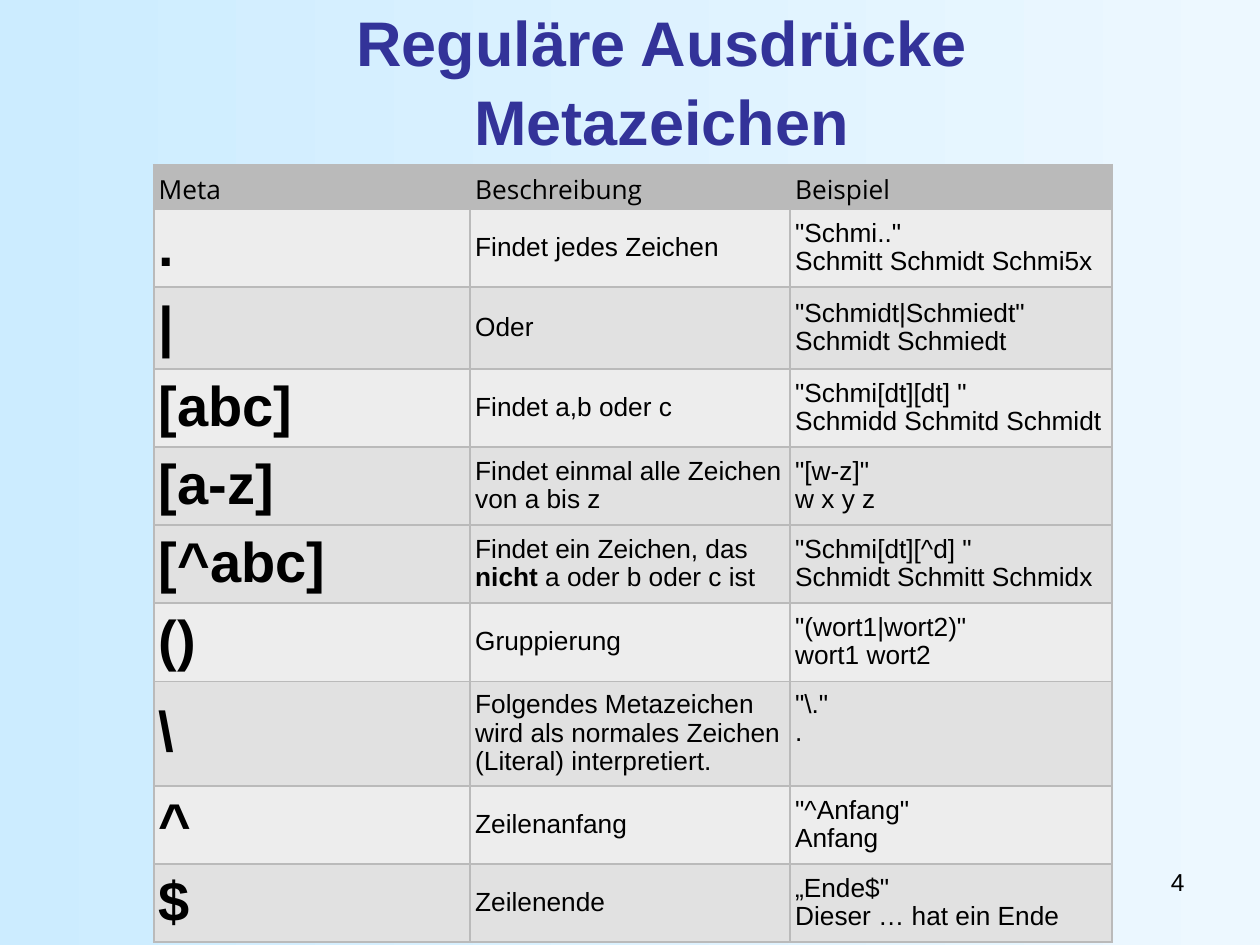
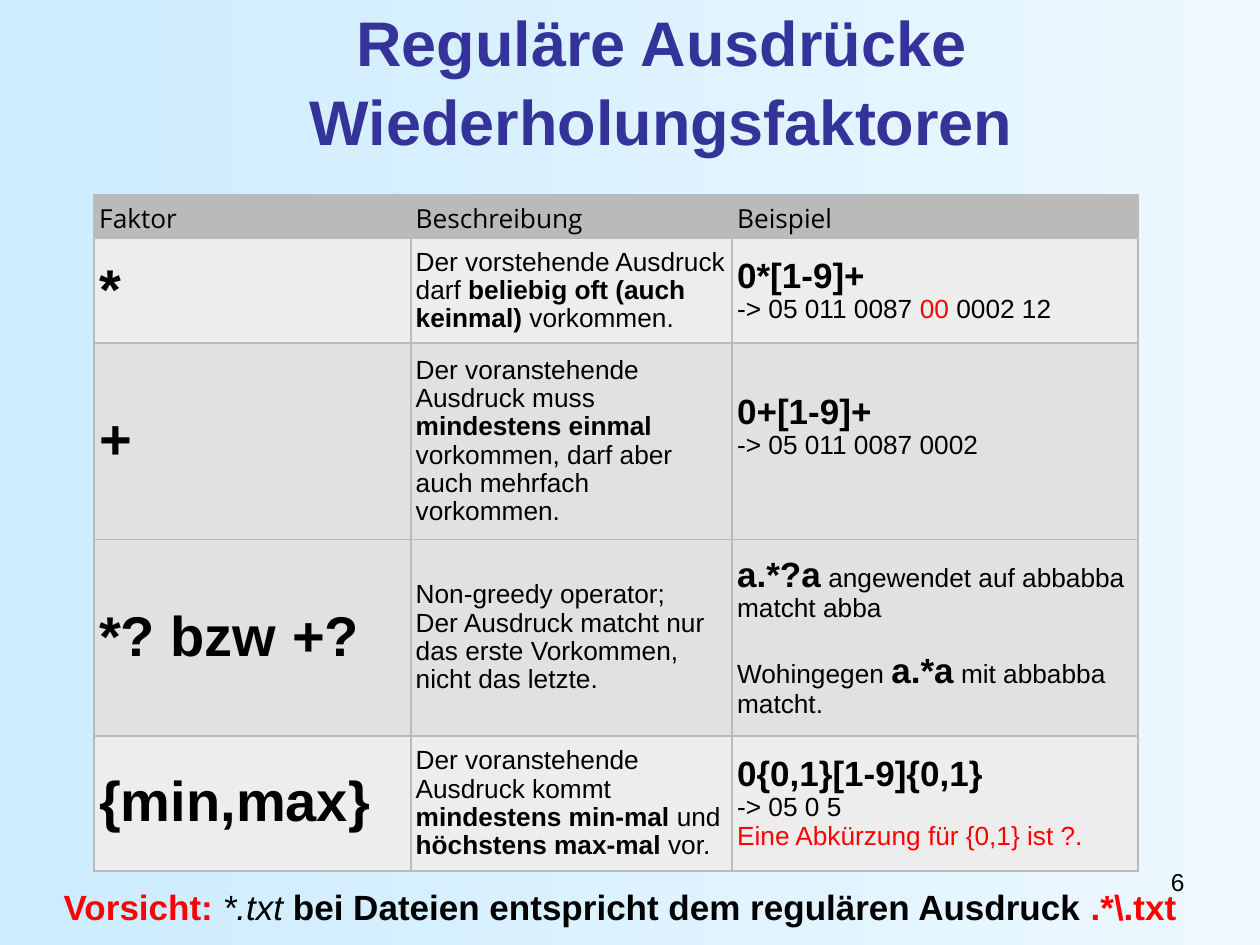
from lxml.etree import SubElement
from pptx import Presentation
from pptx.dml.color import RGBColor
from pptx.enum.text import MSO_ANCHOR as Anchor, MSO_AUTO_SIZE as AutoSize, PP_ALIGN as Align
from pptx.oxml.ns import qn
from pptx.util import Cm, Pt

# Shared colours and fonts
SKY = RGBColor(0xCC, 0xEC, 0xFF)
PALE_SKY = RGBColor(0xED, 0xF8, 0xFF)
INDIGO = RGBColor(0x33, 0x33, 0x99)
BLACK = RGBColor(0x00, 0x00, 0x00)
RED = RGBColor(0xFF, 0x00, 0x00)
HEADER_GREY = RGBColor(0xBA, 0xBA, 0xBA)
LIGHT = RGBColor(0xED, 0xED, 0xED)
DARK = RGBColor(0xE1, 0xE1, 0xE1)
TEXT_FONT = "Arial"
HEADER_FONT = "Open Sans"

# Run styles
BOLD = {"bold": True}
CODE = {"bold": True, "size": Pt(20)}
ALERT = {"color": RED}
PATTERN = {"bold": False, "italic": True, "color": BLACK}

# Table measures
CELL_MARGIN_X = Cm(0.1)
CELL_MARGIN_Y = Cm(0.13)
EMPTY_LINE = Cm(0.59)
TABLE_LINE_SPACING = 0.97

# Table rows: fill, height in cm, meta character, description, example.
# Each cell is a list of paragraphs, a paragraph is a string or a list of runs.
META_ROWS = [
    (LIGHT, 1.52, ".", ["Findet jedes Zeichen"], ['"Schmi.."', "Schmitt Schmidt Schmi5x"]),
    (DARK, 1.65, "|", ["Oder"], ['"Schmidt|Schmiedt"', "Schmidt Schmiedt"]),
    (LIGHT, 1.52, "[abc]", ["Findet a,b oder c"],
     ['"Schmi[dt][dt] "', "Schmidd Schmitd Schmidt"]),
    (DARK, 1.52, "[a-z]", ["Findet einmal alle Zeichen von a bis z"], ['"[w-z]"', "w x y z"]),
    (DARK, 1.52, "[^abc]",
     [["Findet ein Zeichen, das ", ("nicht ", BOLD), "a oder b oder c ist"]],
     ['"Schmi[dt][^d] "', "Schmidt Schmitt Schmidx"]),
    (LIGHT, 1.52, "()", ["Gruppierung"], ['"(wort1|wort2)"', "wort1 wort2"]),
    (DARK, 2.11, "\\",
     ["Folgendes Metazeichen wird als normales Zeichen (Literal) interpretiert."],
     [r'"\."', "."]),
    (LIGHT, 1.52, "^", ["Zeilenanfang"], ['"^Anfang"', "Anfang"]),
    (DARK, 1.52, "$", ["Zeilenende"], ['„Ende$"', "Dieser … hat ein Ende"]),
]
FACTOR_ROWS = [
    (LIGHT, 2.06, "*",
     [["Der vorstehende Ausdruck darf ", ("beliebig oft (auch keinmal) ", BOLD), "vorkommen."]],
     [[("0*[1-9]+", CODE), "\n", "-> 05 011 0087 ", ("00", ALERT), " 0002 12"]]),
    (DARK, 3.96, "+",
     [["Der voranstehende Ausdruck muss ", ("mindestens einmal ", BOLD),
       "vorkommen, darf aber auch mehrfach vorkommen."]],
     [[("0+[1-9]+", CODE), "\n", "-> 05 011 0087 0002"]]),
    (DARK, 3.96, "*? bzw +?",
     ["Non-greedy operator;", "Der Ausdruck matcht nur das erste Vorkommen, nicht das letzte."],
     [[("a.*?a", CODE), " angewendet auf abbabba"], "matcht abba",
      ["Wohingegen ", ("a.*a", CODE), " mit abbabba matcht."]]),
    (LIGHT, 2.69, "{min,max}",
     [["Der voranstehende Ausdruck kommt ", ("mindestens min-mal", BOLD), " und ",
       ("höchstens max-mal", BOLD), " vor."]],
     [[("0{0,1}[1-9]{0,1}", CODE), " ", "\n", "-> 05 0 5"],
      [("Eine Abkürzung für {0,1} ist ?.", ALERT)]]),
]


def style_font(font, size=None, bold=None, italic=None, color=None, name=None):
    """Set only the font properties that are given."""
    for key, value in (("size", size), ("bold", bold), ("italic", italic), ("name", name)):
        if value is not None:
            setattr(font, key, value)
    if color is not None:
        font.color.rgb = color


def write_paragraphs(text_frame, paragraphs, align=Align.LEFT, line_spacing=None, **base):
    """Fill a text frame; base is the font of every paragraph."""
    base = {"name": TEXT_FONT, "color": BLACK, "bold": False, **base}
    for index, runs in enumerate(paragraphs):
        paragraph = text_frame.add_paragraph() if index else text_frame.paragraphs[0]
        paragraph.alignment = align
        if line_spacing:
            paragraph.line_spacing = line_spacing
        style_font(paragraph.font, **base)
        for part in [runs] if isinstance(runs, str) else runs:
            if part == "\n":
                paragraph.add_line_break()
                continue
            text, style = (part, {}) if isinstance(part, str) else part
            run = paragraph.add_run()
            run.text = text
            style_font(run.font, **{**base, **style})


def paint_background(master):
    fill = master.background.fill
    fill.gradient()
    fill.gradient_angle = 0
    for stop, color, position in zip(fill.gradient_stops, (SKY, PALE_SKY), (0, 1)):
        stop.color.rgb = color
        stop.position = position


def add_text(slide, box, paragraphs, wrap=True, **style):
    shape = slide.shapes.add_textbox(*(Cm(value) for value in box))
    shape.text_frame.word_wrap = wrap
    write_paragraphs(shape.text_frame, paragraphs, **style)


def add_frame(presentation, topic, number):
    """Add a slide with its two-line title and page number."""
    slide = presentation.slides.add_slide(presentation.slide_layouts[5])
    title = slide.shapes.title
    title.left, title.top, title.width, title.height = Cm(1.27), Cm(0.33), Cm(24.13), Cm(2.51)
    title.text_frame.auto_size = AutoSize.NONE
    title.text_frame.vertical_anchor = Anchor.MIDDLE
    write_paragraphs(title.text_frame, [["Reguläre Ausdrücke", "\n", topic]], Align.CENTER,
                     line_spacing=1.05, size=Pt(36), bold=True, color=INDIGO)
    add_text(slide, (18.21, 17.35, 5.92, 1.32), [number], align=Align.RIGHT, size=Pt(14))
    return slide


def add_borders(cell):
    properties = cell._tc.get_or_add_tcPr()
    for side in ("lnL", "lnR", "lnT", "lnB"):
        line = SubElement(properties, qn(f"a:{side}"), w=str(Pt(1.08)))
        fill = SubElement(line, qn("a:solidFill"))
        SubElement(fill, qn("a:srgbClr"), val=str(HEADER_GREY))


def fill_cell(cell, paragraphs, color, **style):
    add_borders(cell)
    cell.fill.solid()
    cell.fill.fore_color.rgb = color
    cell.vertical_anchor = Anchor.MIDDLE
    cell.margin_left = cell.margin_right = CELL_MARGIN_X
    cell.margin_top = cell.margin_bottom = CELL_MARGIN_Y
    write_paragraphs(cell.text_frame, paragraphs, line_spacing=TABLE_LINE_SPACING, **style)


def add_reference_table(slide, left, top, widths, first_heading, rows):
    heights = [0.89] + [row[1] for row in rows]
    table = slide.shapes.add_table(len(heights), len(widths), Cm(left), Cm(top),
                                   Cm(sum(widths)), Cm(sum(heights))).table
    table.first_row = table.horz_banding = False
    for column, width in zip(table.columns, widths):
        column.width = Cm(width)
    for row, height in zip(table.rows, heights):
        row.height = Cm(height)

    # Header row
    for column, heading in enumerate((first_heading, "Beschreibung", "Beispiel")):
        fill_cell(table.cell(0, column), [heading], HEADER_GREY, size=Pt(15), name=HEADER_FONT)

    # Body rows
    for index, (color, _, symbol, description, example) in enumerate(rows, start=1):
        fill_cell(table.cell(index, 0), [symbol], color, size=Pt(32), bold=True)
        fill_cell(table.cell(index, 1), description, color, size=Pt(15))
        fill_cell(table.cell(index, 2), example, color, size=Pt(15))
    return table


def build_metacharacters(presentation):
    slide = add_frame(presentation, "Metazeichen", "4")
    table = add_reference_table(slide, 3.1, 3.32, (6.38, 6.45, 6.48), "Meta", META_ROWS)
    # The escaped dot sits one line higher
    table.cell(7, 2).margin_bottom = CELL_MARGIN_Y + EMPTY_LINE


def build_repetition_factors(presentation):
    slide = add_frame(presentation, "Wiederholungsfaktoren", "6")
    table = add_reference_table(slide, 1.9, 3.92, (6.38, 6.48, 8.18), "Faktor", FACTOR_ROWS)
    table.cell(2, 2).margin_bottom = CELL_MARGIN_Y + EMPTY_LINE
    table.cell(3, 2).text_frame.paragraphs[2].space_before = Pt(17)

    # Warning below the table
    warning = [("Vorsicht: ", ALERT), ("*.txt ", PATTERN),
               "bei Dateien entspricht dem regulären Ausdruck ", (r".*\.txt", ALERT)]
    add_text(slide, (1, 17.73, 23, 1.11), [warning], wrap=False,
             align=Align.CENTER, size=Pt(20), bold=True)


def main():
    presentation = Presentation()
    presentation.slide_width, presentation.slide_height = Cm(25.4), Cm(19.05)
    paint_background(presentation.slide_master)
    build_metacharacters(presentation)
    build_repetition_factors(presentation)
    presentation.save("out.pptx")


if __name__ == "__main__":
    main()
